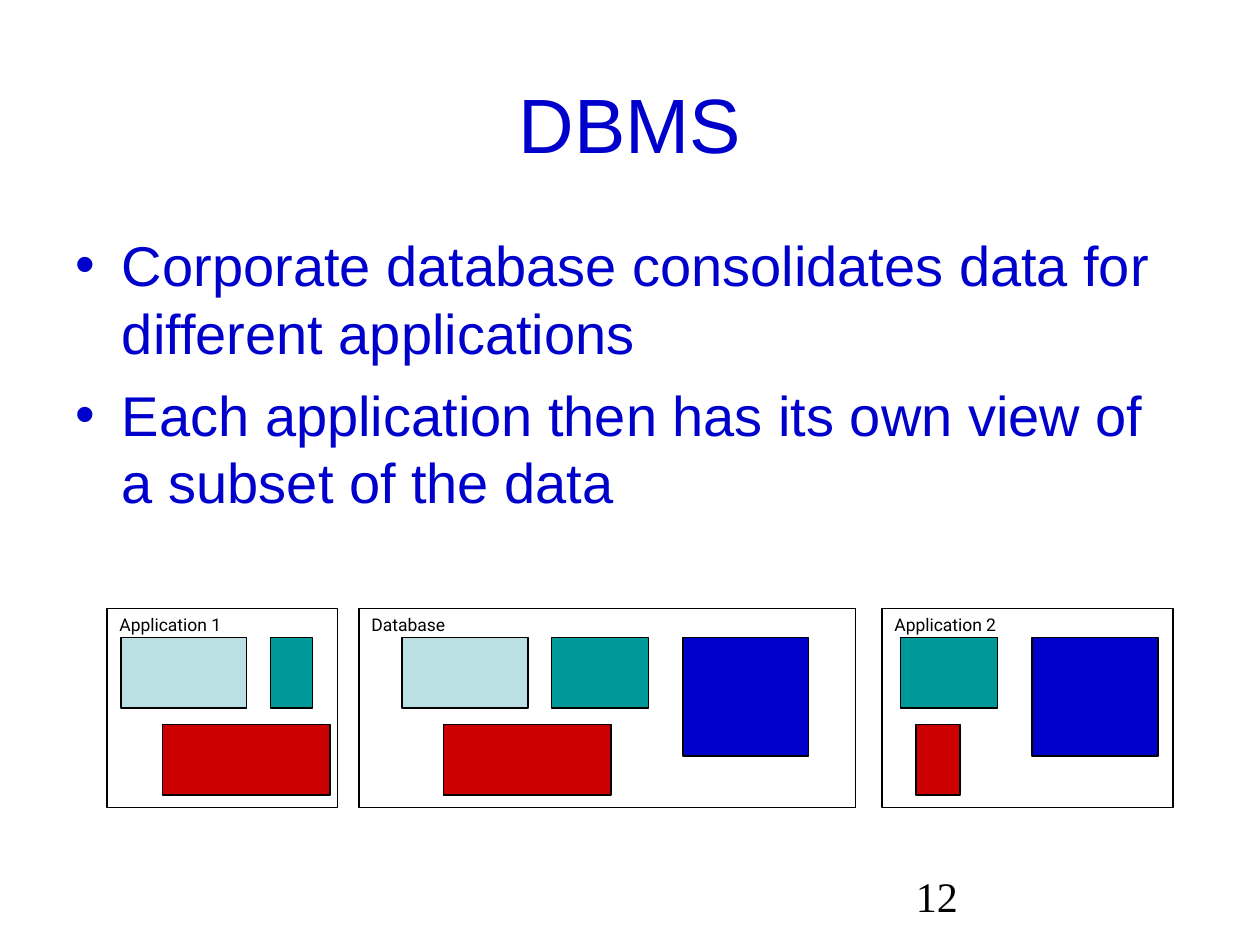
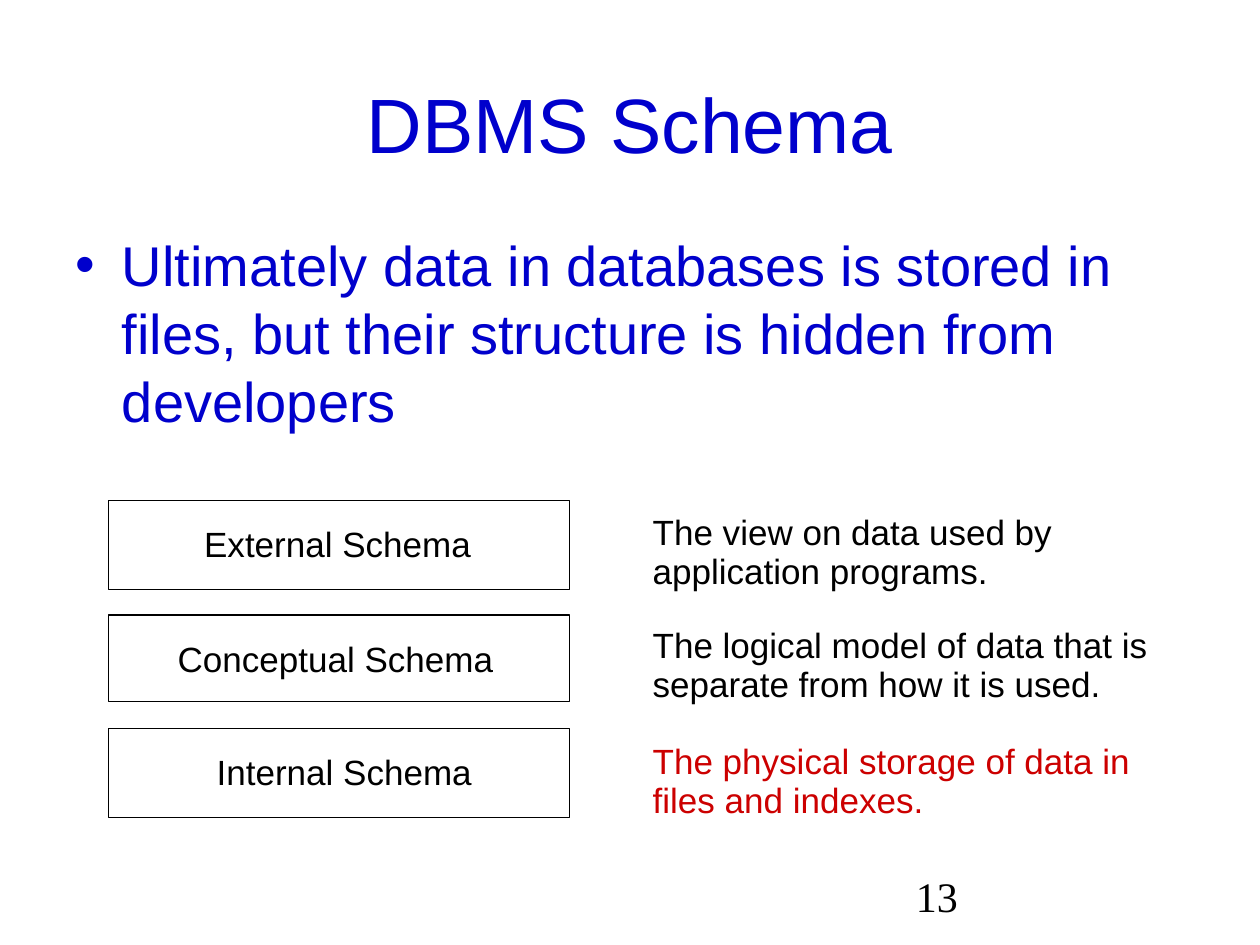
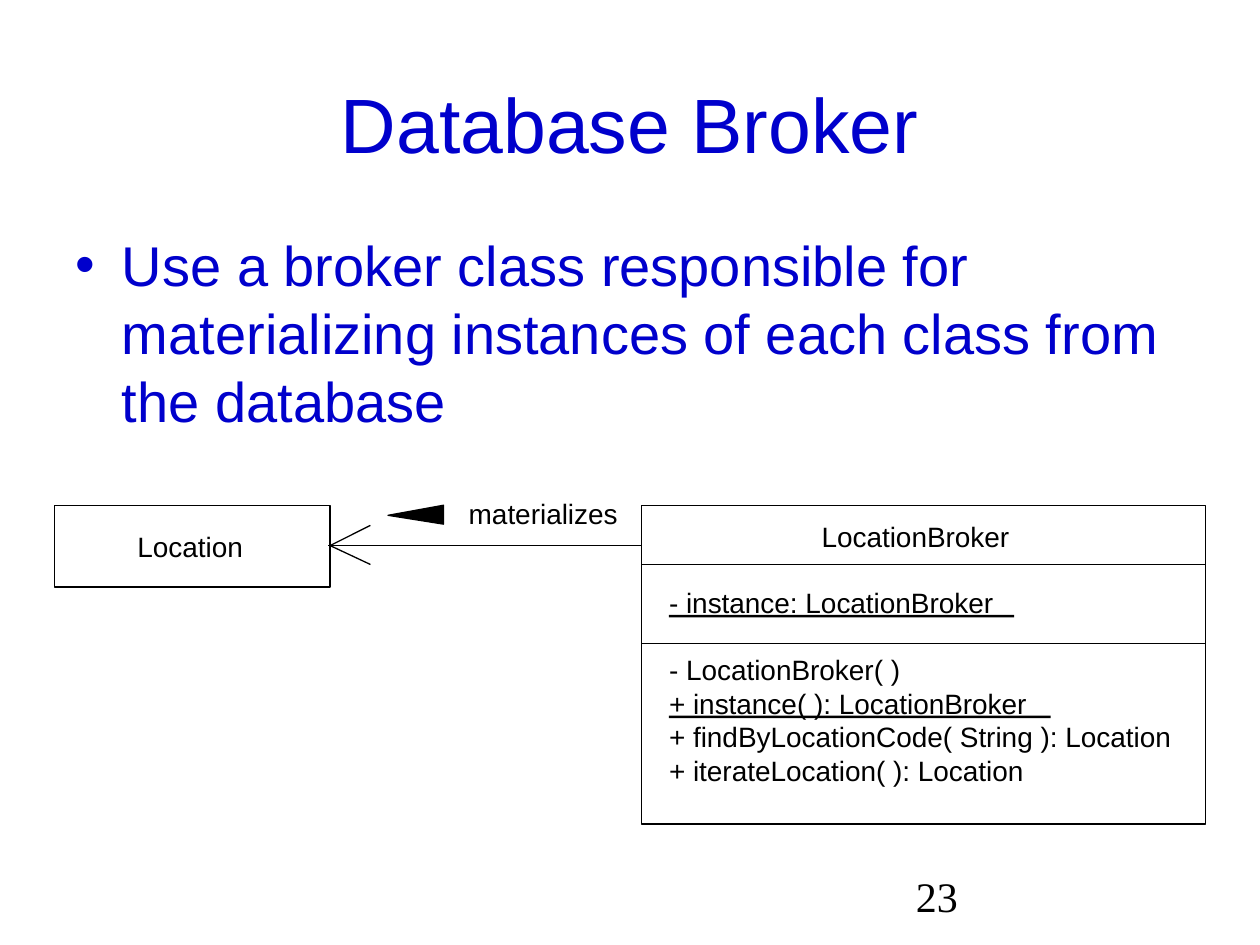
from pptx import Presentation
from pptx.dml.color import RGBColor
from pptx.enum.shapes import MSO_CONNECTOR, MSO_SHAPE
from pptx.enum.text import MSO_ANCHOR, MSO_AUTO_SIZE, PP_ALIGN
from pptx.oxml.ns import qn
from pptx.util import Inches, Pt
from lxml.etree import SubElement

BLUE = RGBColor(0x00, 0x00, 0xCC)
RED = RGBColor(0xCC, 0x00, 0x00)
TEAL = RGBColor(0x00, 0x99, 0x99)
PALE = RGBColor(0xBB, 0xE0, 0xE3)
BLACK = RGBColor(0x00, 0x00, 0x00)
WHITE = RGBColor(0xFF, 0xFF, 0xFF)

TITLE_FONT = {"name": "Arial", "size": Pt(44), "color": BLUE}
BODY_FONT = {"name": "Arial", "size": Pt(32), "color": BLUE}
SCHEMA_FONT = {"name": "Arial", "size": Pt(20), "color": BLACK}
CLASS_FONT = {"name": "Arial", "size": Pt(16), "color": BLACK}
PANEL_FONT = {"name": "Roboto", "size": Pt(10), "color": BLACK}
NUMBER_FONT = {"name": "Times New Roman", "size": Pt(24), "color": BLACK}

BODY_INDENT = 0.37
PANEL_TOP, PANEL_HEIGHT = 4.83, 1.58
UPPER_ROW, LOWER_ROW = 5.06, 5.75
TABLE_HEIGHT, TALL_HEIGHT = 0.56, 0.94

PANELS = [
    ("Database", 2.85, 3.94, [
        (3.19, UPPER_ROW, 1, TABLE_HEIGHT, PALE),
        (4.38, UPPER_ROW, 0.77, TABLE_HEIGHT, TEAL),
        (5.42, UPPER_ROW, 1, TALL_HEIGHT, BLUE),
        (3.52, LOWER_ROW, 1.33, TABLE_HEIGHT, RED),
    ]),
    ("Application 1", 0.85, 1.83, [
        (0.96, UPPER_ROW, 1, TABLE_HEIGHT, PALE),
        (2.15, UPPER_ROW, 0.33, TABLE_HEIGHT, TEAL),
        (1.29, LOWER_ROW, 1.33, TABLE_HEIGHT, RED),
    ]),
    ("Application 2", 7, 2.31, [
        (7.15, UPPER_ROW, 0.77, TABLE_HEIGHT, TEAL),
        (8.19, UPPER_ROW, 1, TALL_HEIGHT, BLUE),
        (7.27, LOWER_ROW, 0.35, TABLE_HEIGHT, RED),
    ]),
]

SCHEMAS = [
    ("External Schema", 1.62, 2.12, 3.97, 0.71, 4.02, BLACK,
     ["The view on data used by", "application programs."]),
    ("Conceptual Schema", 1.41, 2.51, 4.88, 0.69, 4.92, BLACK,
     ["The logical model of data that is", "separate from how it is used."]),
    ("Internal Schema", 1.72, 2.03, 5.78, 0.71, 5.84, RED,
     ["The physical storage of data in", "files and indexes."]),
]
SCHEMA_LEFT, SCHEMA_WIDTH = 0.86, 3.66
DESCRIPTION_LEFT, DESCRIPTION_WIDTH, DESCRIPTION_PITCH = 5.18, 4.01, 0.31

CLASS_BOXES = [(0.43, 4.01, 2.19, 0.65), (5.09, 4.01, 4.48, 2.53)]
CLASS_LABELS = [
    ("Location", 1.09, 4.17, 0.84),
    ("LocationBroker", 6.52, 4.09, 1.49),
    ("materializes", 3.72, 3.91, 1.18),
]
MEMBER_LEFT, MEMBER_WIDTH = 5.31, 3.99
MEMBERS = [
    ("- instance: LocationBroker", 4.62, 2.74),
    ("- LocationBroker( )", 5.15, None),
    ("+ instance( ): LocationBroker", 5.42, 3.03),
    ("+ findByLocationCode( String ): Location", 5.68, None),
    ("+ iterateLocation( ): Location", 5.95, None),
]
CLASS_LINES = [
    (5.09, 4.33, 2.6, 4.33),
    (2.62, 4.33, 2.94, 4.48),
    (2.94, 4.17, 2.62, 4.33),
    (5.09, 4.48, 9.56, 4.48),
    (5.09, 5.11, 9.57, 5.11),
]
DIRECTION_MARK = [(3.08, 4.09), (3.52, 4.16), (3.52, 4.01)]


def inches(*values):
    return [Inches(value) for value in values]


def set_font(paragraph, font_format):
    for name, value in font_format.items():
        if name == "color":
            paragraph.font.color.rgb = value
        else:
            setattr(paragraph.font, name, value)


def set_frame(frame, margins, anchor=MSO_ANCHOR.TOP, wrap=True):
    left, top, right, bottom = inches(*margins)
    settings = {
        "margin_left": left, "margin_top": top, "margin_right": right,
        "margin_bottom": bottom, "vertical_anchor": anchor,
        "word_wrap": wrap, "auto_size": MSO_AUTO_SIZE.NONE,
    }
    for name, value in settings.items():
        setattr(frame, name, value)


def add_label(slide, text, left, top, width, height, font_format,
              margins=(0, 0.03, 0, 0), wrap=False):
    label = slide.shapes.add_textbox(*inches(left, top, width, height))
    set_frame(label.text_frame, margins, wrap=wrap)
    paragraph = label.text_frame.paragraphs[0]
    paragraph.text = text
    set_font(paragraph, font_format)


def style_shape(shape, fill, outlined=True):
    shape.shadow.inherit = False
    shape.fill.solid()
    shape.fill.fore_color.rgb = fill
    if outlined:
        shape.line.color.rgb = BLACK
        shape.line.width = Pt(0.75)
    else:
        shape.line.fill.background()


def add_box(slide, left, top, width, height, fill=WHITE, outlined=True):
    box = slide.shapes.add_shape(MSO_SHAPE.RECTANGLE, *inches(left, top, width, height))
    style_shape(box, fill, outlined)
    return box


def add_line(slide, *ends):
    line = slide.shapes.add_connector(MSO_CONNECTOR.STRAIGHT, *inches(*ends))
    line.line.color.rgb = BLACK
    line.line.width = Pt(0.75)
    SubElement(line._element.spPr, qn("a:effectLst"))


def add_body(slide, bullets, height):
    body = slide.shapes.add_textbox(*inches(0.5, 1.75, 9, height))
    frame = body.text_frame
    set_frame(frame, (0.1, 0.08, 0.1, 0.05))
    for index, text in enumerate(bullets):
        paragraph = frame.add_paragraph() if index else frame.paragraphs[0]
        paragraph.text = text
        paragraph.line_spacing = Pt(38.6)
        if index:
            paragraph.space_before = Pt(8)
        properties = paragraph._p.get_or_add_pPr()
        properties.set("marL", str(Inches(BODY_INDENT)))
        properties.set("indent", str(-Inches(BODY_INDENT)))
        SubElement(properties, qn("a:buFont"), typeface="Arial")
        SubElement(properties, qn("a:buChar"), char="•")
        set_font(paragraph, BODY_FONT)


def add_slide(presentation, title_text, bullets, number, body_height):
    slide = presentation.slides.add_slide(presentation.slide_layouts[5])
    title = slide.shapes.title
    title.left, title.top, title.width, title.height = inches(0.5, 0.3, 9, 1.25)
    set_frame(title.text_frame, (0.1, 0.15, 0.1, 0.05), MSO_ANCHOR.MIDDLE)
    paragraph = title.text_frame.paragraphs[0]
    paragraph.text = title_text
    paragraph.alignment = PP_ALIGN.CENTER
    set_font(paragraph, TITLE_FONT)
    add_body(slide, bullets, body_height)
    add_label(slide, number, 7.17, 6.83, 2.33, 0.52, NUMBER_FONT,
              (0.1, 0.08, 0.1, 0.05), True)
    return slide


def build_dbms(presentation):
    slide = add_slide(presentation, "DBMS", [
        "Corporate database consolidates data for different applications",
        "Each application then has its own view of a subset of the data",
    ], "12", 2.61)
    for name, left, width, tables in PANELS:
        panel = add_box(slide, left, PANEL_TOP, width, PANEL_HEIGHT)
        set_frame(panel.text_frame, (0.1, 0.04, 0.1, 0.05))
        paragraph = panel.text_frame.paragraphs[0]
        paragraph.text = name
        paragraph.alignment = PP_ALIGN.LEFT
        set_font(paragraph, PANEL_FONT)
        for table in tables:
            add_box(slide, *table)


def build_schema(presentation):
    slide = add_slide(presentation, "DBMS Schema", [
        "Ultimately data in databases is stored in files, "
        "but their structure is hidden from developers",
    ], "13", 4.95)
    for name, left, width, top, height, text_top, color, lines in SCHEMAS:
        add_box(slide, SCHEMA_LEFT, top, SCHEMA_WIDTH, height)
        add_label(slide, name, left, top + 0.15, width, 0.33, SCHEMA_FONT)
        for index, text in enumerate(lines):
            add_label(slide, text, DESCRIPTION_LEFT, text_top + index * DESCRIPTION_PITCH,
                      DESCRIPTION_WIDTH, 0.33, {**SCHEMA_FONT, "color": color})


def build_broker(presentation):
    slide = add_slide(presentation, "Database Broker", [
        "Use a broker class responsible for materializing "
        "instances of each class from the database",
    ], "23", 4.95)
    for box in CLASS_BOXES:
        add_box(slide, *box)
    for text, left, top, width in CLASS_LABELS:
        add_label(slide, text, left, top, width, 0.27, CLASS_FONT)
    for text, top, underline in MEMBERS:
        add_label(slide, text, MEMBER_LEFT, top, MEMBER_WIDTH, 0.27, CLASS_FONT)
        if underline:
            add_box(slide, MEMBER_LEFT, top + 0.26, underline, 0.02, BLACK, False)
    for ends in CLASS_LINES:
        add_line(slide, *ends)
    start, *corners = [inches(*point) for point in DIRECTION_MARK]
    builder = slide.shapes.build_freeform(*start)
    builder.add_line_segments(corners, close=True)
    style_shape(builder.convert_to_shape(), BLACK)


def main():
    presentation = Presentation()
    presentation.slide_width, presentation.slide_height = inches(10, 7.5)
    build_dbms(presentation)
    build_schema(presentation)
    build_broker(presentation)
    presentation.save("out.pptx")


if __name__ == "__main__":
    main()
